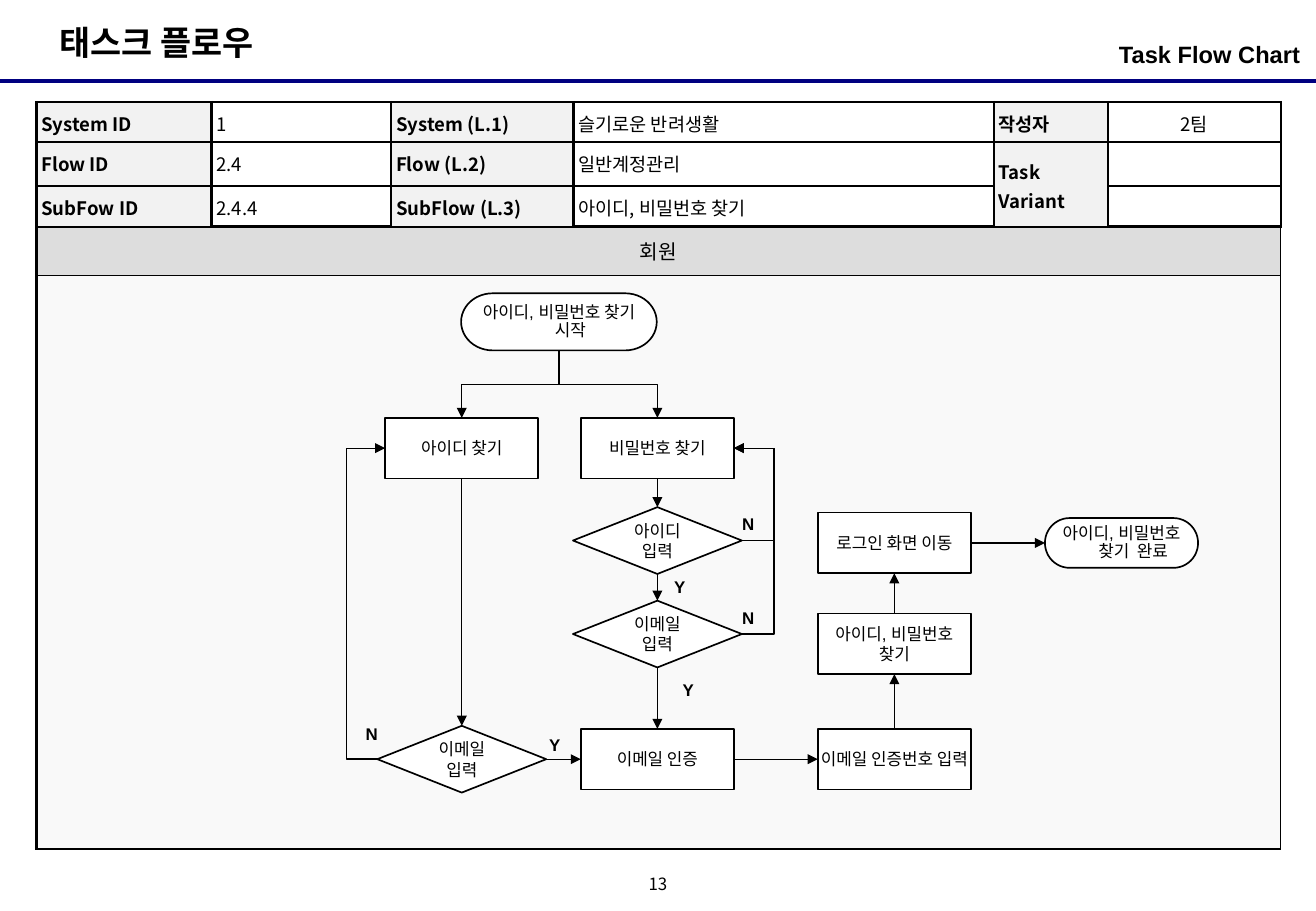
from pptx import Presentation
from pptx.dml.color import RGBColor
from pptx.enum.shapes import MSO_CONNECTOR, MSO_SHAPE
from pptx.enum.text import MSO_ANCHOR, MSO_AUTO_SIZE, PP_ALIGN
from pptx.oxml.ns import qn
from pptx.oxml.xmlchemy import OxmlElement
from pptx.util import Inches, Pt

LEFT, MID, RIGHT = PP_ALIGN.LEFT, PP_ALIGN.CENTER, PP_ALIGN.RIGHT
TOP, CENTER = MSO_ANCHOR.TOP, MSO_ANCHOR.MIDDLE
STRAIGHT, ELBOW = MSO_CONNECTOR.STRAIGHT, MSO_CONNECTOR.ELBOW
FIXED = MSO_AUTO_SIZE.NONE
RECT = MSO_SHAPE.RECTANGLE
DIAMOND = MSO_SHAPE.FLOWCHART_DECISION
PILL = MSO_SHAPE.FLOWCHART_TERMINATOR
NORTH, WEST, SOUTH, EAST = range(4)
BLACK, GREY = "000000", "F2F2F2"


def rgb(code):
    return RGBColor.from_string(code)


def sub(parent, tag, **attrs):
    """Append an XML child with the given attributes."""
    node = OxmlElement(tag)
    for key, value in attrs.items():
        node.set(key, str(value))
    parent.append(node)
    return node


class Page:
    """Holds the slide and its common text and line style."""

    sans, korean = "Arial", "Noto Sans CJK KR"

    def __init__(self, slide):
        self.slide = slide
        self.shapes = slide.shapes

    def words(self, frame, text, size, bold=False, face=sans, align=LEFT, space=None):
        frame.text = text
        for para in frame.paragraphs:
            para.alignment = align
            para.space_before = Pt(0)
            if space:
                para.line_spacing = space
            for run in para.runs:
                font = run.font
                font.name, font.size, font.bold = face, Pt(size), bold
                font.color.rgb = rgb(BLACK)

    def inset(self, frame, side, edge, anchor=TOP):
        frame.word_wrap = True
        frame.auto_size = FIXED
        frame.vertical_anchor = anchor
        frame.margin_left = frame.margin_right = Inches(side)
        frame.margin_top = frame.margin_bottom = Inches(edge)

    def place(self, shape, at, text, size, side, align):
        """Move and fill a placeholder."""
        shape.left, shape.top, shape.width, shape.height = map(Inches, at)
        self.inset(shape.text_frame, side, 0.05)
        self.words(shape.text_frame, text, size, True, align=align)

    def label(self, at, text, side=0.1, edge=0.05, anchor=TOP, **style):
        frame = self.shapes.add_textbox(*map(Inches, at)).text_frame
        self.inset(frame, side, edge, anchor)
        self.words(frame, text, 10, **style)

    def node(self, kind, x, y, w, h, text):
        """Draw a flow step centred on x, y."""
        shape = self.shapes.add_shape(
            kind, Inches(x - w / 2), Inches(y - h / 2), Inches(w), Inches(h))
        shape.shadow.inherit = False
        shape.fill.solid()
        shape.fill.fore_color.rgb = rgb("FFFFFF")
        shape.line.color.rgb = rgb(BLACK)
        shape.line.width = Pt(1)
        frame = shape.text_frame
        self.inset(frame, 0.02, 0, CENTER)
        pill = kind == PILL
        self.words(frame, text, 10, align=MID, space=0.9 if pill else None)
        if pill:
            props = frame.paragraphs[0]._p.get_or_add_pPr()
            props.set("marL", str(Inches(0.19)))
            props.set("indent", str(-Inches(0.19)))
        return shape

    def line(self, start, end, kind=STRAIGHT, color=BLACK, width=0.75, arrow=True):
        link = self.shapes.add_connector(kind, *map(Inches, (*start, *end)))
        link.line.color.rgb = rgb(color)
        link.line.width = Pt(width)
        props = link._element.spPr
        if arrow:
            sub(props.find(qn("a:ln")), "a:tailEnd", type="triangle")
        sub(props, "a:effectLst")
        return link

    def join(self, first, out, last, into):
        link = self.line((0, 0), (1, 1))
        link.begin_connect(first, out)
        link.end_connect(last, into)

    def loop(self, start, end, via):
        """Draw an elbow whose upright part runs at x = via."""
        link = self.line(start, end, ELBOW)
        ratio = (via - start[0]) / (end[0] - start[0])
        shape = link._element.spPr.find(qn("a:prstGeom"))
        sub(shape.get_or_add_avLst(), "a:gd", name="adj1", fmla=f"val {round(ratio * 100000)}")

    def fork(self, start, end):
        """Draw an elbow that leaves downwards, as a turned connector."""
        (x1, y1), (x2, y2) = start, end
        x, y = (x1 + x2) / 2, (y1 + y2) / 2
        side = 1 if x2 < x1 else -1
        w, h = side * (y2 - y1) / 2, abs(x2 - x1) / 2
        link = self.line((x - w, y - h), (x + w, y + h), ELBOW)
        turn = 90 if side == 1 else 270
        link._element.spPr.find(qn("a:xfrm")).set("rot", str(turn * 60000))

    def table(self, x, y, cols, rows):
        frame = self.shapes.add_table(
            len(rows), len(cols), Inches(x), Inches(y), Inches(sum(cols)), Inches(sum(rows)))
        grid = frame.table
        grid.first_row = grid.horz_banding = False
        for col, size in zip(grid.columns, cols):
            col.width = Inches(size)
        for row, size in zip(grid.rows, rows):
            row.height = Inches(size)
        return grid

    def cell(self, cell, text, size, fill=None, edges=(1.5,) * 4, side=0.04,
             anchor=TOP, **style):
        """Fill a cell; edges are left, right, top and bottom widths."""
        cell.margin_left = cell.margin_right = Inches(side)
        cell.margin_top = cell.margin_bottom = Inches(0.04)
        cell.vertical_anchor = anchor
        self.words(cell.text_frame, text, size, **style)
        if not text:
            end = cell.text_frame.paragraphs[0]._p.get_or_add_endParaRPr()
            end.set("sz", str(size * 100))
        props = cell._tc.get_or_add_tcPr()
        for name, width in zip("LRTB", edges):
            edge = sub(props, f"a:ln{name}", w=Pt(width))
            sub(sub(edge, "a:solidFill"), "a:srgbClr", val=BLACK)
        if fill:
            cell.fill.solid()
            cell.fill.fore_color.rgb = rgb(fill)
        else:
            cell.fill.background()


def main():
    deck = Presentation()
    deck.slide_width, deck.slide_height = Inches(10.83), Inches(7.5)
    page = Page(deck.slides.add_slide(deck.slide_layouts[1]))
    title, body = page.slide.placeholders
    page.line((0, 0.67), (10.83, 0.67), color="000080", width=2.25, arrow=False)
    page.place(title, (0.39, 0.13, 1.98, 0.44), "태스크 플로우", 20, 0.1, LEFT)
    page.place(body, (7.39, 0.28, 3.31, 0.39), "Task Flow Chart", 14, 0, RIGHT)
    props = body.text_frame.paragraphs[0]._p.get_or_add_pPr()
    props.set("marL", "0")
    props.set("indent", "0")
    sub(props, "a:buNone")
    page.label((5.25, 7.17, 0.33, 0.25), "13", 0, 0, CENTER,
               face=page.korean, align=MID, space=0.8)

    lane = page.table(0.3, 1.86, [10.24], [0.41, 4.72])
    page.cell(lane.cell(0, 0), "회원", 12, "DDDDDD", (1.5, 0.75, 1.5, 0.75), 0.1, CENTER, align=MID)
    page.cell(lane.cell(1, 0), "", 12, "F9F9F9", (1.5, 0.75, 0.75, 1.5))

    facts = [
        ["System ID", "1", "System (L.1)", "슬기로운 반려생활", "작성자", "2팀"],
        ["Flow ID", "2.4", "Flow (L.2)", "일반계정관리", "Task Variant", ""],
        ["SubFow ID", "2.4.4", "SubFlow (L.3)", "아이디, 비밀번호 찾기", "", ""],
    ]
    head = page.table(0.3, 0.84, [1.44, 1.48, 1.5, 3.46, 0.94, 1.42], [0.33, 0.36, 0.34])
    for r, row in enumerate(facts):
        for c, text in enumerate(row):
            key = c % 2 == 0
            page.cell(head.cell(r, c), text, 11, GREY if key else None,
                      anchor=CENTER if c > 3 else TOP, bold=key, face=page.korean,
                      align=MID if c == 5 else LEFT, space=1.1)
    head.cell(1, 4).merge(head.cell(2, 4))

    id_x, pw_x, end_x, base = 3.8, 5.41, 7.36, 6.25
    box, gem = (1.26, 0.5), (1.39, 0.55)
    page.node(PILL, 4.6, 2.65, 1.61, 0.47, "아이디, 비밀번호 찾기 시작")
    done = page.node(PILL, 9.23, 4.47, 1.26, 0.41, "아이디, 비밀번호 찾기  완료")
    find_id = page.node(RECT, id_x, 3.69, *box, "아이디 찾기")
    find_pw = page.node(RECT, pw_x, 3.69, *box, "비밀번호 찾기")
    id_mail = page.node(DIAMOND, id_x, base, *gem, "이메일 입력")
    check = page.node(RECT, pw_x, base, *box, "이메일 인증")
    code = page.node(RECT, end_x, base, *box, "이메일 인증번호 입력")
    pw_mail = page.node(DIAMOND, pw_x, 5.22, *gem, "이메일 입력")
    pw_id = page.node(DIAMOND, pw_x, 4.45, *gem, "아이디\n입력")
    found = page.node(RECT, end_x, 5.3, *box, "아이디, 비밀번호 찾기")
    login = page.node(RECT, end_x, 4.47, *box, "로그인 화면 이동")

    for x in (id_x, pw_x):
        page.fork((4.6, 2.89), (x, 3.44))
    page.loop((3.11, base), (3.17, 3.69), 2.85)
    for y in (4.45, 5.22):
        page.loop((6.11, y), (6.04, 3.69), 6.37)
    for first, out, last, into in [
        (id_mail, EAST, check, WEST), (check, EAST, code, WEST),
        (find_id, SOUTH, id_mail, NORTH), (find_pw, SOUTH, pw_id, NORTH),
        (pw_id, SOUTH, pw_mail, NORTH), (pw_mail, SOUTH, check, NORTH),
        (code, NORTH, found, SOUTH), (found, NORTH, login, SOUTH),
        (login, EAST, done, WEST),
    ]:
        page.join(first, out, last, into)
    for text, x, y in [("Y", 4.42, 6), ("N", 2.91, 5.91), ("Y", 5.52, 5.55),
                       ("Y", 5.45, 4.7), ("N", 6.01, 4.95), ("N", 6.01, 4.18)]:
        page.label((x, y, 0.38, 0.27), text, bold=True)
    deck.save("out.pptx")


if __name__ == "__main__":
    main()
